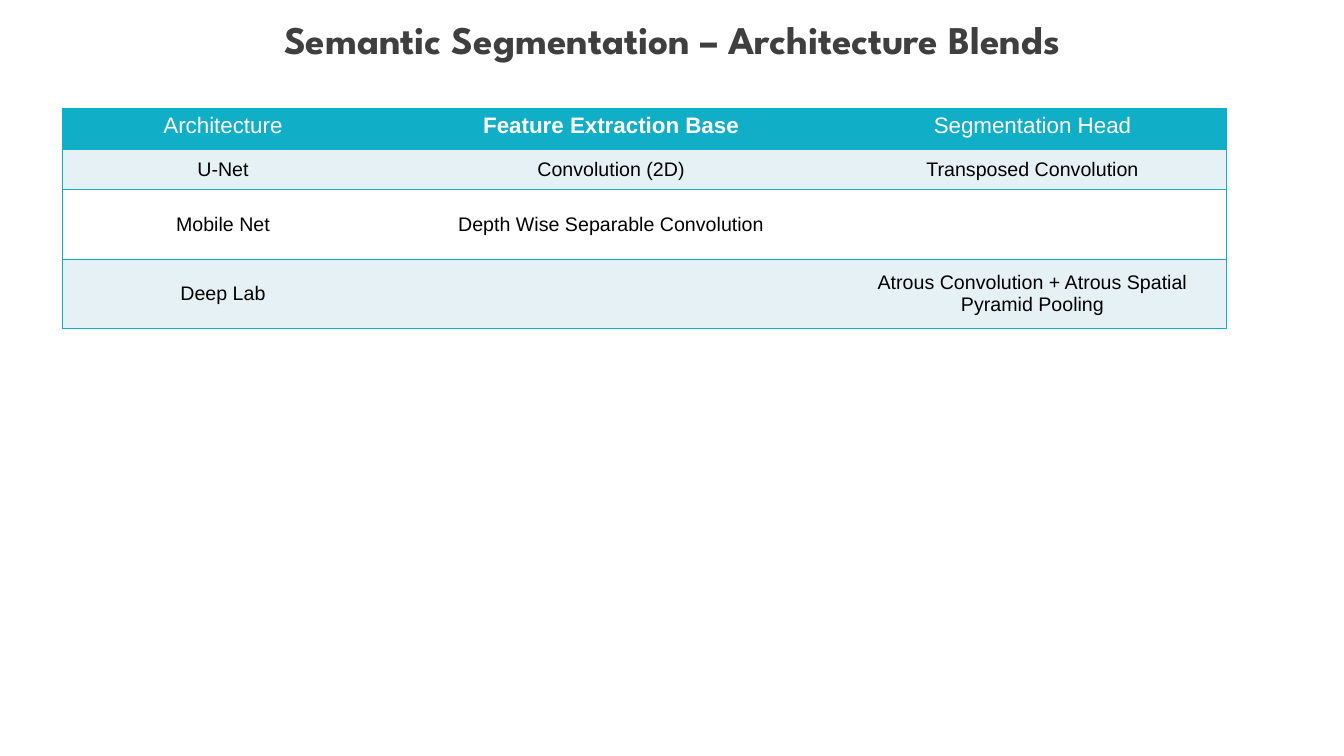
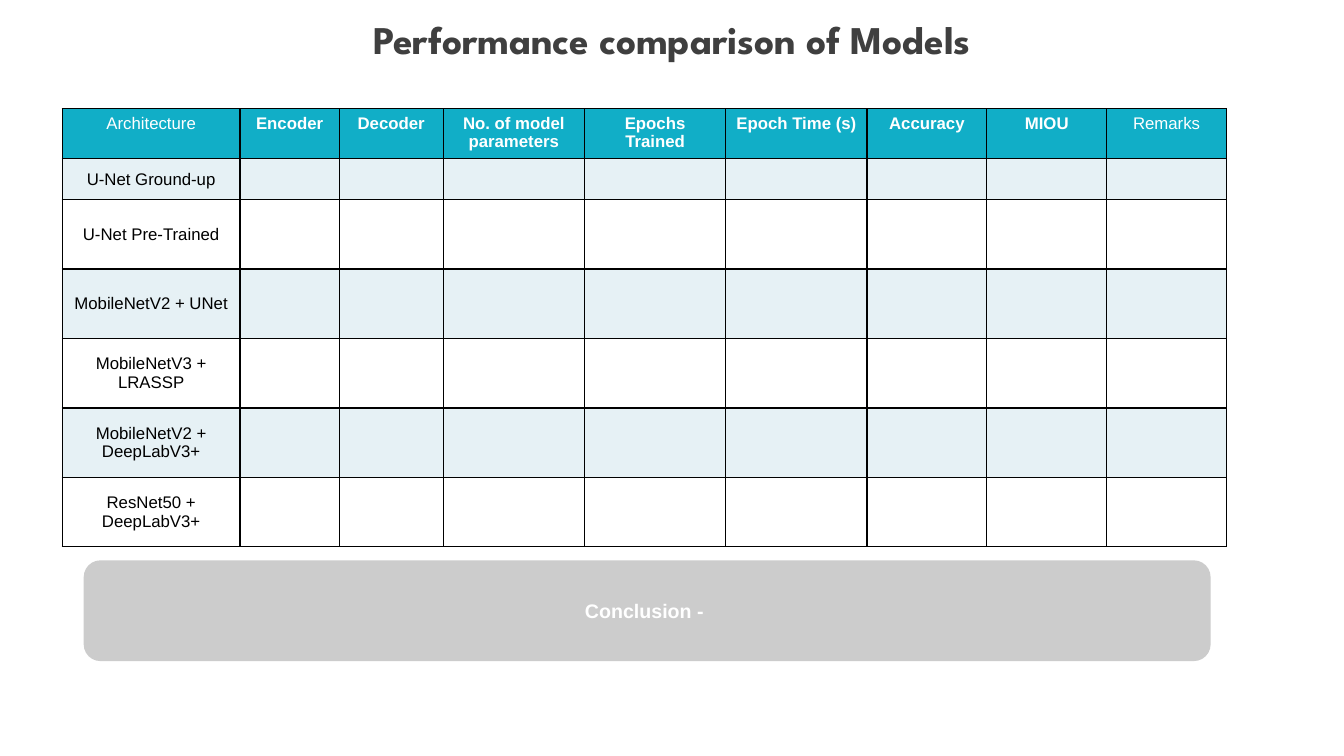
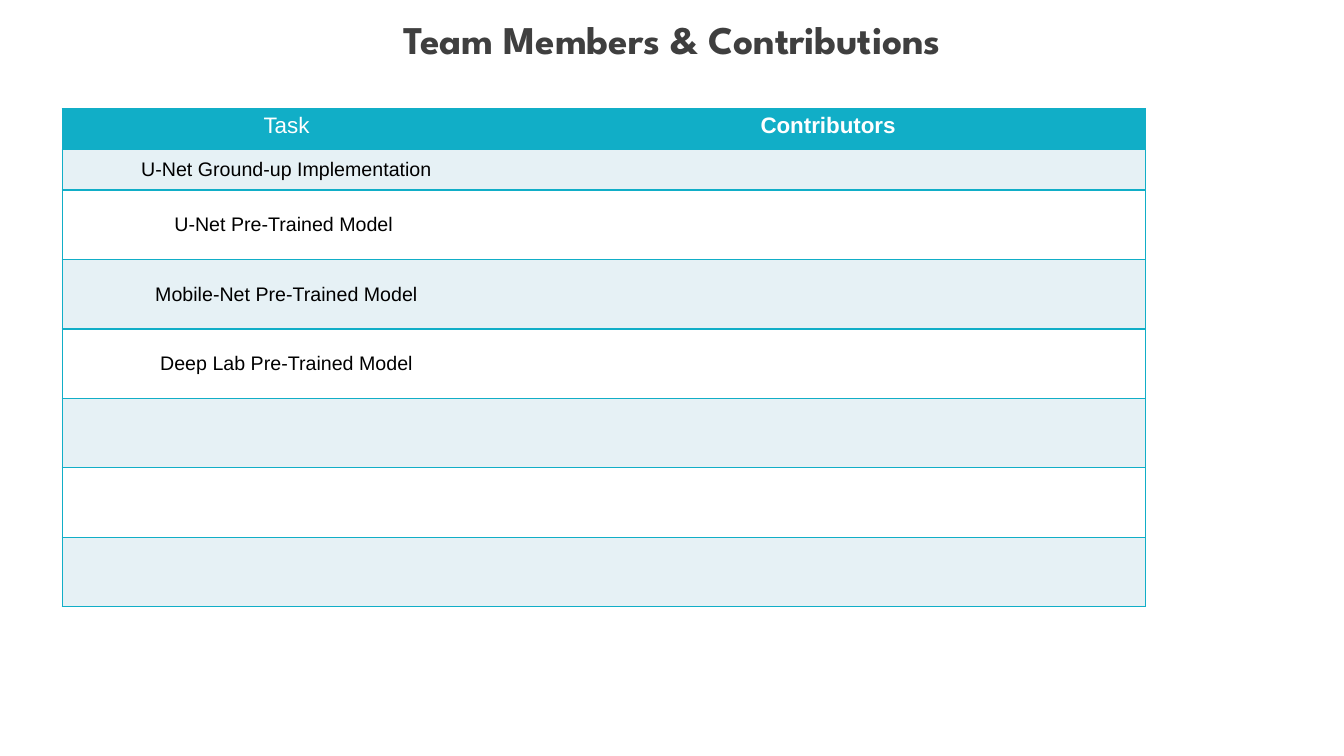
from itertools import zip_longest

from lxml import etree
from pptx import Presentation
from pptx import util as u
from pptx.dml.color import RGBColor
from pptx.enum import shapes, text
from pptx.oxml import ns

COLORS = {
    "title": "3F3F3F",
    "teal": "11AEC7",
    "band": "E6F1F5",
    "white": "FFFFFF",
    "black": "000000",
    "gray": "CCCCCC",
}
TITLE_FONT, BODY_FONT = "League Spartan", "Arial"
LEFT, TOP = 1.57, 2.74
SHORT_ROW, TALL_ROW = 1.02, 1.75
TITLE_ONLY = 5


def rgb(name):
    return RGBColor.from_string(COLORS[name])


class Deck:
    """Holds the shared style and the slide being built."""

    def __init__(self):
        self.prs = Presentation()
        self.prs.slide_width, self.prs.slide_height = u.Cm(33.87), u.Cm(19.05)
        self.slide = None

    def style(self, p, size, color, bold=False, font=BODY_FONT):
        p.alignment = text.PP_ALIGN.CENTER
        p.font.name, p.font.size, p.font.bold = font, u.Pt(size), bold
        p.font.color.rgb = rgb(color)

    def new_slide(self, title):
        self.slide = self.prs.slides.add_slide(self.prs.slide_layouts[TITLE_ONLY])
        sp = self.slide.shapes.title
        sp.left, sp.top, sp.width, sp.height = map(u.Cm, (0.64, 0.53, 32.59, 2.16))
        tf = sp.text_frame
        tf.text = title
        tf.auto_size = text.MSO_AUTO_SIZE.NONE
        tf.vertical_anchor = text.MSO_ANCHOR.TOP
        tf.margin_left = tf.margin_right = tf.margin_top = tf.margin_bottom = 0
        p = tf.paragraphs[0]
        p.line_spacing = 0.9
        self.style(p, 28, "title", True, TITLE_FONT)

    def border(self, cell, side, color):
        """Draw one side (L, R, T or B) of a cell; no colour means no line."""
        ln = etree.SubElement(cell._tc.get_or_add_tcPr(), ns.qn(f"a:ln{side}"), w=str(u.Pt(1)))
        if color:
            fill = etree.SubElement(ln, ns.qn("a:solidFill"))
            etree.SubElement(fill, ns.qn("a:srgbClr"), val=COLORS[color])
        else:
            etree.SubElement(ln, ns.qn("a:noFill"))

    def table(self, widths, header, rows, plain, sizes, line, inner=None, header_height=SHORT_ROW):
        """Banded table; plain lists the header columns that are not bold,
        sizes gives header and body text, inner colours the column lines."""
        heights = [header_height, SHORT_ROW] + [TALL_ROW] * (len(rows) - 1)
        frame = self.slide.shapes.add_table(
            len(heights), len(widths), u.Cm(LEFT), u.Cm(TOP),
            u.Cm(sum(widths)), u.Cm(sum(heights)))
        tbl = frame.table
        tbl.first_row = tbl.horz_banding = False
        for col, width in zip(tbl.columns, widths):
            col.width = u.Cm(width)
        for row, height in zip(tbl.rows, heights):
            row.height = u.Cm(height)
        last = len(widths) - 1
        for i, values in enumerate([header] + rows):
            for j, (cell, value) in enumerate(zip_longest(tbl.rows[i].cells, values, fillvalue="")):
                self.border(cell, "L", line if j == 0 else inner)
                self.border(cell, "R", line if j == last else inner)
                self.border(cell, "T", line)
                self.border(cell, "B", line)
                cell.fill.solid()
                cell.fill.fore_color.rgb = rgb("teal" if i == 0 else "band" if i % 2 else "white")
                if i:
                    cell.vertical_anchor = text.MSO_ANCHOR.MIDDLE
                if value:
                    cell.text = value
                    p = cell.text_frame.paragraphs[0]
                    if i == 0:
                        self.style(p, sizes[0], "white", j not in plain)
                    else:
                        self.style(p, sizes[1], "black")

    def rounded_box(self, left, top, width, height, words):
        sp = self.slide.shapes.add_shape(
            shapes.MSO_SHAPE.ROUNDED_RECTANGLE, *map(u.Cm, (left, top, width, height)))
        sp.shadow.inherit = False
        sp.fill.solid()
        sp.fill.fore_color.rgb = rgb("gray")
        sp.line.fill.background()
        tf = sp.text_frame
        tf.text = words
        tf.word_wrap = True
        tf.vertical_anchor = text.MSO_ANCHOR.MIDDLE
        self.style(tf.paragraphs[0], 14, "white", True)


def main():
    deck = Deck()

    deck.new_slide("Semantic Segmentation – Architecture Blends")
    deck.table(
        [8.1, 11.46, 9.78],
        ["Architecture", "Feature Extraction Base", "Segmentation Head"],
        [
            ["U-Net", "Convolution (2D)", "Transposed Convolution"],
            ["Mobile Net", "Depth Wise Separable Convolution"],
            ["Deep Lab", "", "Atrous Convolution + Atrous Spatial Pyramid Pooling"],
        ],
        plain=(0, 2), sizes=(16, 14), line="teal")

    deck.new_slide("Performance comparison of Models")
    models = ["U-Net Ground-up", "U-Net Pre-Trained", "MobileNetV2 + UNet",
              "MobileNetV3 + LRASSP", "MobileNetV2 + DeepLabV3+", "ResNet50 + DeepLabV3+"]
    deck.table(
        [4.48, 2.5, 2.62] + [3.56] * 3 + [3.02] * 3,
        ["Architecture", "Encoder", "Decoder", "No. of model parameters", "Epochs Trained",
         "Epoch Time (s)", "Accuracy", "MIOU", "Remarks"],
        [[model] for model in models],
        plain=(0, 8), sizes=(12, 12), line="black", inner="black", header_height=1.26)
    deck.rounded_box(2.11, 14.12, 28.4, 2.54, "Conclusion - ")

    deck.new_slide("Team Members & Contributions")
    tasks = ["U-Net Ground-up Implementation", "U-Net Pre-Trained Model ",
             "Mobile-Net Pre-Trained Model", "Deep Lab Pre-Trained Model", "", "", ""]
    deck.table(
        [11.3, 16],
        ["Task", "Contributors"],
        [[task] for task in tasks],
        plain=(0,), sizes=(16, 14), line="teal")

    deck.prs.save("out.pptx")


if __name__ == "__main__":
    main()
